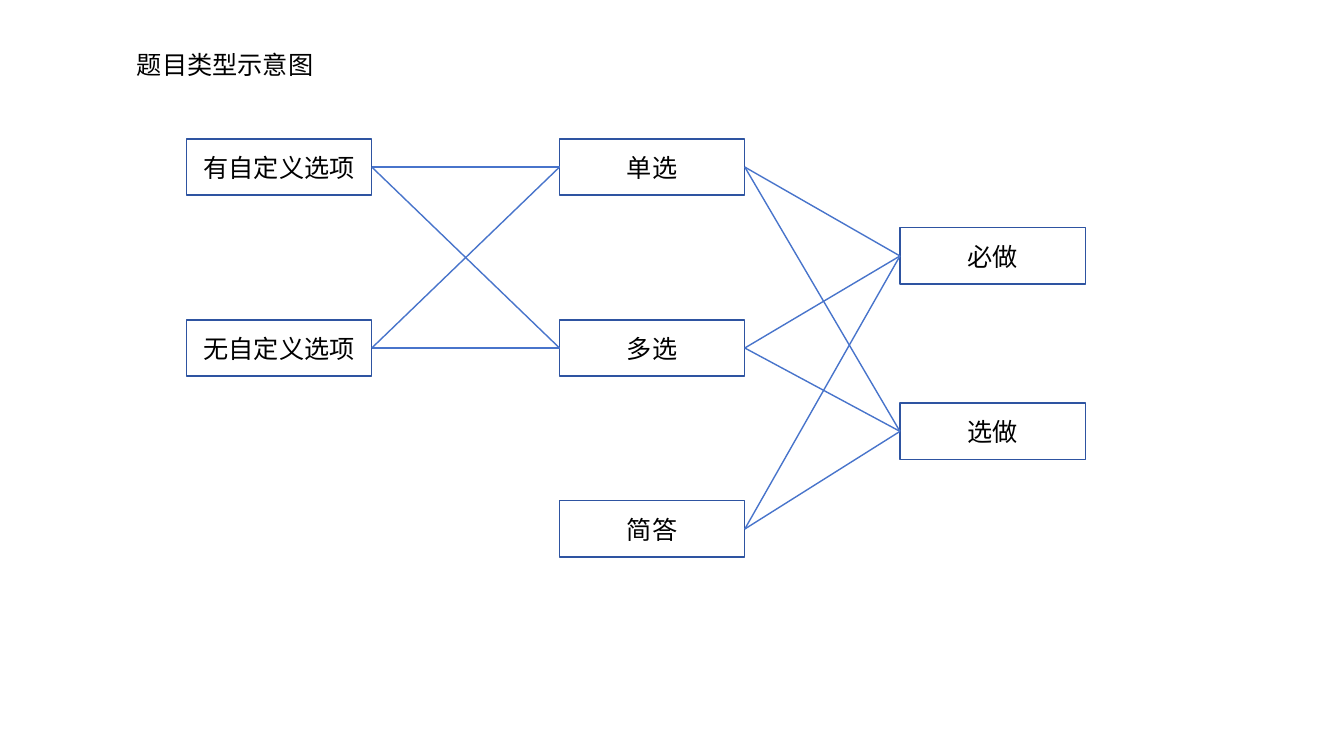
from itertools import pairwise, product

from lxml.etree import SubElement
from pptx import Presentation
from pptx.dml.color import RGBColor
from pptx.enum.shapes import MSO_CONNECTOR as Connector, MSO_SHAPE as Shape
from pptx.enum.text import MSO_ANCHOR as Anchor, MSO_AUTO_SIZE as AutoSize, PP_ALIGN as Align
from pptx.oxml.ns import qn
from pptx.util import Cm, Pt

TITLE = "题目类型示意图"
# Each column: left, first top, vertical pitch (cm), labels.
# Every box is linked to every box of the next column.
COLUMNS = [
    (4.7, 3.5, 4.56, ["有自定义选项", "无自定义选项"]),
    (14.1, 3.5, 4.56, ["单选", "多选", "简答"]),
    (22.68, 5.74, 4.42, ["必做", "选做"]),
]
# The short-answer type has no custom options
UNLINKED = {"有自定义选项": "简答", "无自定义选项": "简答"}
COLORS = {"text": "000000", "border": "2E54A1", "link": "4874CB"}
BOX_WIDTH, BOX_HEIGHT = Cm(4.67), Cm(1.42)
LEFT_SIDE, RIGHT_SIDE = 1, 3


def write(frame, text, align):
    frame.word_wrap = True
    para = frame.paragraphs[0]
    para.text = text
    para.alignment = align
    para.font.name = "Calibri"
    para.font.size = Pt(18)
    para.font.color.rgb = RGBColor.from_string(COLORS["text"])


def set_line(shape, color):
    shape.line.color.rgb = RGBColor.from_string(COLORS[color])
    shape.line.width = Pt(1)


def add_box(slide, label, left, top):
    box = slide.shapes.add_shape(Shape.RECTANGLE, Cm(left), Cm(top), BOX_WIDTH, BOX_HEIGHT)
    box.shadow.inherit = False
    box.fill.background()
    set_line(box, "border")
    box.text_frame.vertical_anchor = Anchor.MIDDLE
    write(box.text_frame, label, Align.CENTER)
    return box


def add_link(slide, start, end):
    link = slide.shapes.add_connector(Connector.STRAIGHT, 0, 0, 0, 0)
    link.begin_connect(start, RIGHT_SIDE)
    link.end_connect(end, LEFT_SIDE)
    set_line(link, "link")
    SubElement(link._element.spPr, qn("a:effectLst"))


def main():
    deck = Presentation()
    deck.slide_width, deck.slide_height = Cm(33.87), Cm(19.05)
    slide = deck.slides.add_slide(deck.slide_layouts[6])

    title = slide.shapes.add_textbox(Cm(3.2), Cm(1.12), Cm(11.28), Cm(1.02))
    write(title.text_frame, TITLE, Align.LEFT)
    title.text_frame.auto_size = AutoSize.SHAPE_TO_FIT_TEXT

    columns = [
        {label: add_box(slide, label, left, top + row * pitch) for row, label in enumerate(labels)}
        for left, top, pitch, labels in COLUMNS
    ]
    for sources, targets in pairwise(columns):
        for source, target in product(sources, targets):
            if UNLINKED.get(source) != target:
                add_link(slide, sources[source], targets[target])

    deck.save("out.pptx")


if __name__ == "__main__":
    main()
